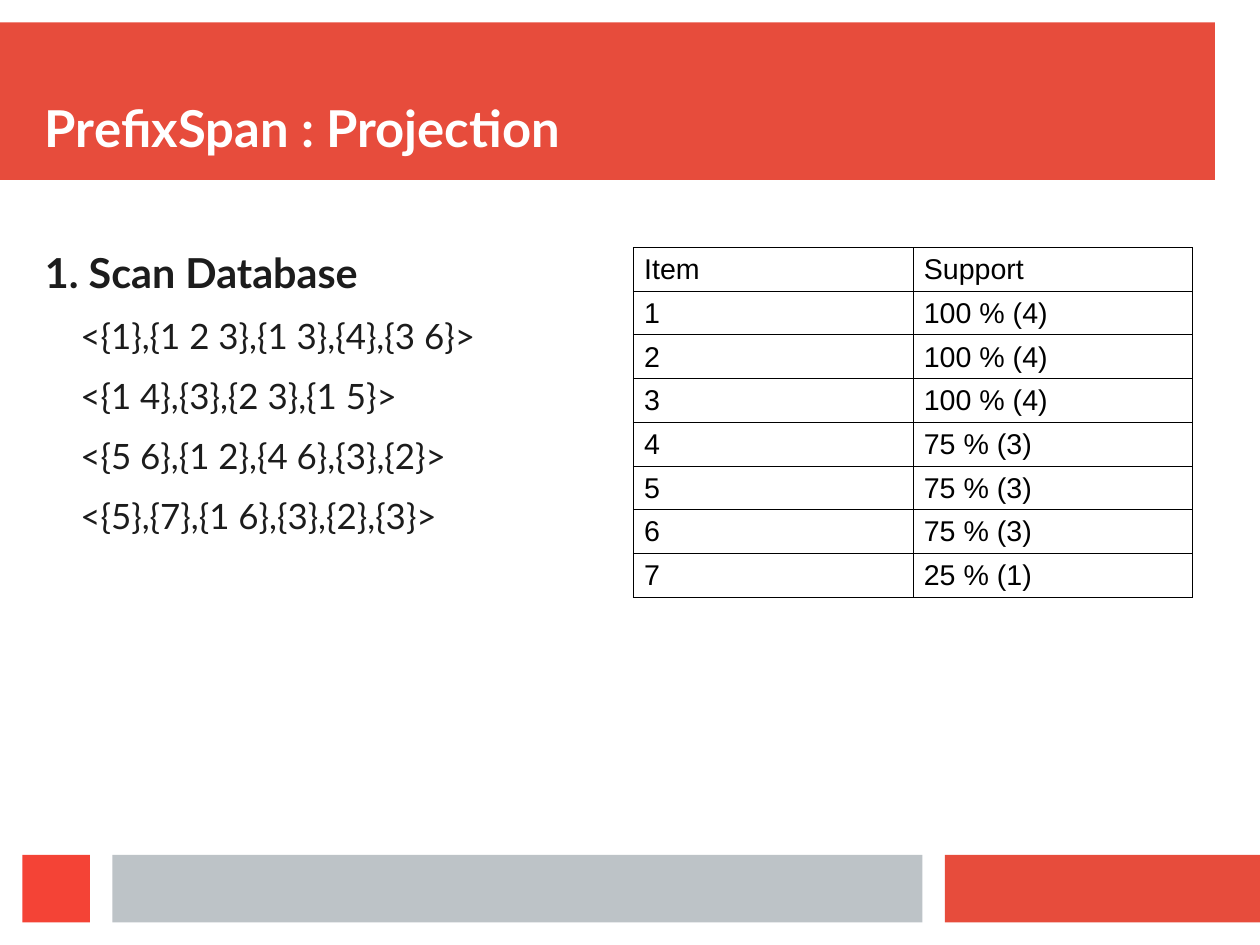
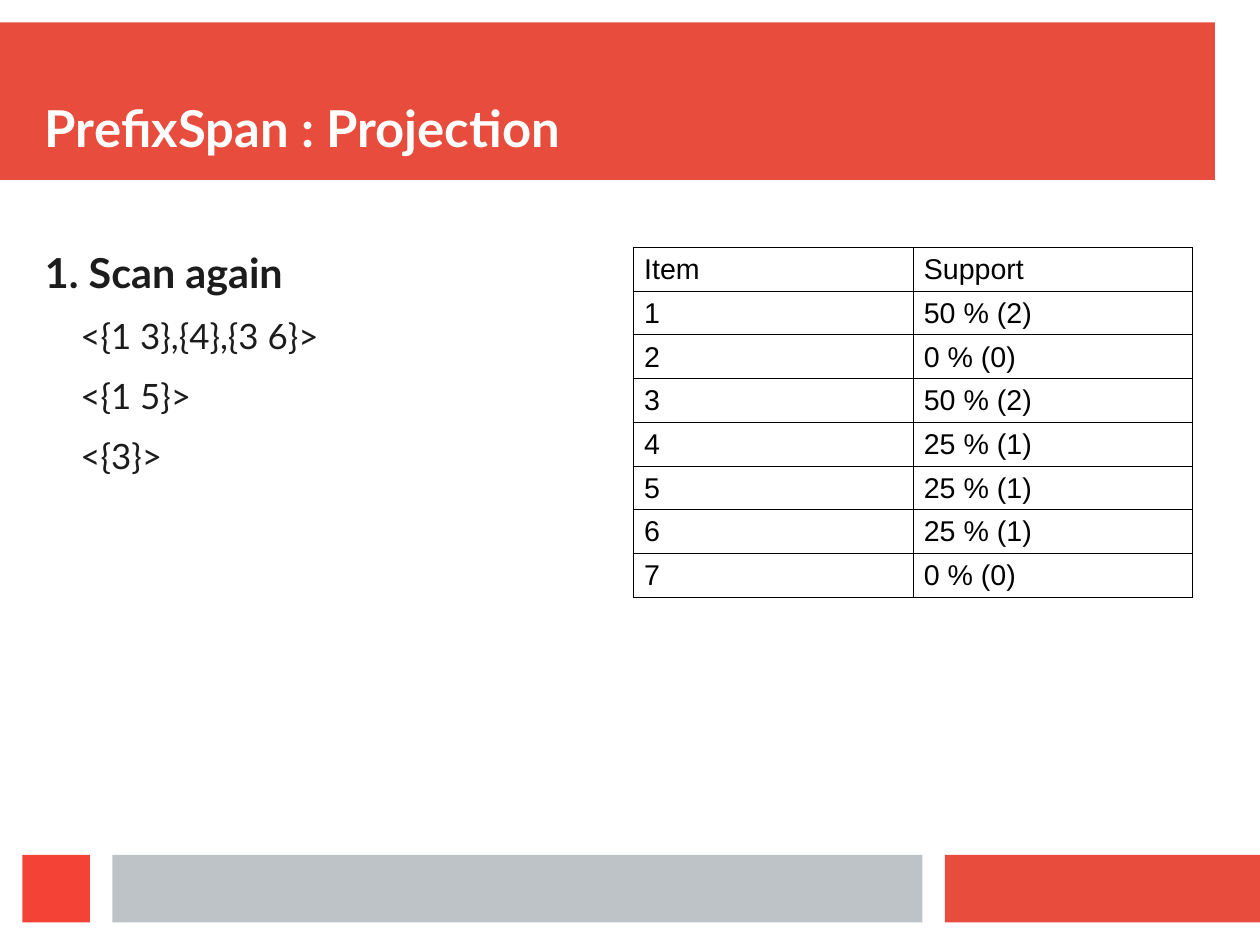
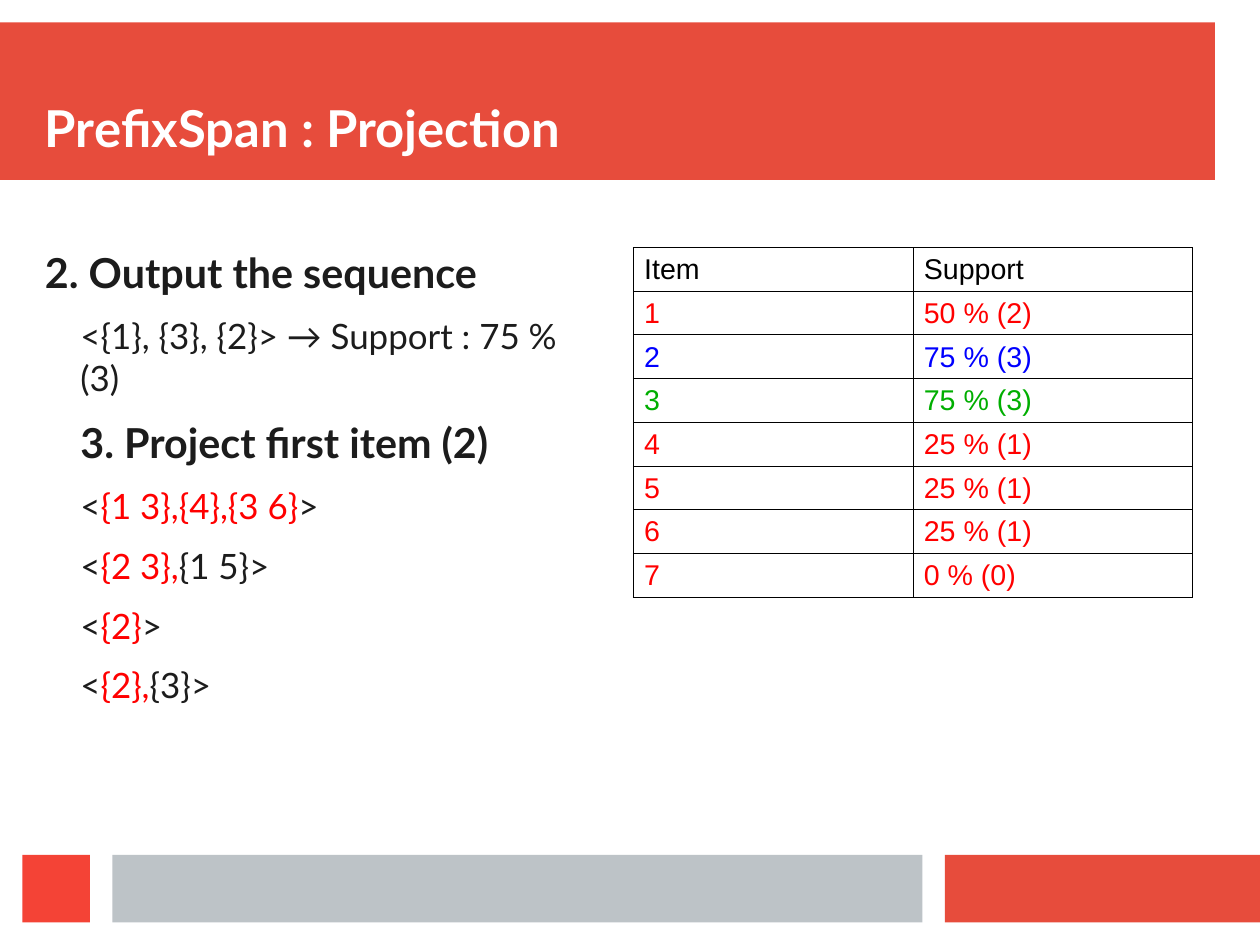
"""Build three slides that walk through the PrefixSpan projection steps."""
from dataclasses import dataclass

import lxml.etree
import pptx
import pptx.dml.color
import pptx.enum.shapes
import pptx.enum.text
import pptx.oxml.ns
import pptx.util

RGB = pptx.dml.color.RGBColor
BRICK = RGB(0xE7, 0x4C, 0x3C)
TOMATO = RGB(0xF4, 0x43, 0x36)
SILVER = RGB(0xBD, 0xC3, 0xC7)
WHITE = RGB(0xFF, 0xFF, 0xFF)
INK = RGB(0x1C, 0x1C, 0x1C)
BLACK = RGB(0x00, 0x00, 0x00)
RED = RGB(0xFF, 0x00, 0x00)
BLUE = RGB(0x00, 0x00, 0xFF)
GREEN = RGB(0x00, 0xAE, 0x00)

CELL = pptx.util.Mm(5)
COLUMNS, ROWS = 56, 42
TEXT_FONT, TABLE_FONT = "Lato", "Arial"
TITLE = "PrefixSpan : Projection"


@dataclass(frozen=True)
class Area:
    column: float
    row: float
    columns: float
    rows: float

    def emu(self) -> tuple[int, ...]:
        return tuple(round(CELL * n) for n in (self.column, self.row, self.columns, self.rows))


@dataclass(frozen=True)
class Band:
    area: Area
    color: RGB


@dataclass(frozen=True)
class Span:
    text: str
    color: RGB = INK


@dataclass(frozen=True)
class Line:
    spans: tuple[Span, ...]
    heading: bool = False
    indented: bool = True


@dataclass(frozen=True)
class Support:
    percent: int
    count: int
    color: RGB = BLACK


@dataclass(frozen=True)
class Step:
    lines: tuple[Line, ...]
    supports: tuple[Support, ...]


BANDS = (
    Band(Area(0, 1, 54, 7), BRICK),
    Band(Area(42, 38, 14, 3), BRICK),
    Band(Area(5, 38, 36, 3), SILVER),
    Band(Area(1, 38, 3, 3), TOMATO),
)
TITLE_AREA = Area(2, 2, 52, 5)
BODY_AREA = Area(2, 11, 24.5, 26)
TABLE_AREA = Area(28.15, 11, 24.86, 15.55)


def heading(text: str, indented: bool = False) -> Line:
    return Line((Span(text),), True, indented)


def sequence(text: str) -> Line:
    return Line((Span(text),))


def projected(removed: str, kept: str) -> Line:
    return Line((Span("<"), Span(removed, RED), Span(kept)))


STEPS = (
    Step(
        (
            heading("1. Scan Database"),
            sequence("<{1},{1 2 3},{1 3},{4},{3 6}>"),
            sequence("<{1 4},{3},{2 3},{1 5}>"),
            sequence("<{5 6},{1 2},{4 6},{3},{2}>"),
            sequence("<{5},{7},{1 6},{3},{2},{3}>"),
        ),
        (Support(100, 4),) * 3 + (Support(75, 3),) * 3 + (Support(25, 1),),
    ),
    Step(
        (
            heading("1. Scan again"),
            sequence("<{1 3},{4},{3 6}>"),
            sequence("<{1 5}>"),
            sequence("<{3}>"),
        ),
        (Support(50, 2), Support(0, 0), Support(50, 2))
        + (Support(25, 1),) * 3
        + (Support(0, 0),),
    ),
    Step(
        (
            heading("2. Output the sequence"),
            sequence("<{1}, {3}, {2}> → Support : 75 % (3)"),
            heading("3. Project first item (2)", indented=True),
            projected("{1 3},{4},{3 6}", ">"),
            projected("{2 3},", "{1 5}>"),
            projected("{2}", ">"),
            projected("{2},", "{3}>"),
        ),
        (Support(50, 2, RED), Support(75, 3, BLUE), Support(75, 3, GREEN))
        + (Support(25, 1, RED),) * 3
        + (Support(0, 0, RED),),
    ),
)


def add_run(paragraph, text: str, font: str, size: int, color: RGB, bold: bool = False) -> None:
    run = paragraph.add_run()
    run.text = text
    run.font.name = font
    run.font.size = pptx.util.Pt(size)
    run.font.bold = bold
    run.font.color.rgb = color


def add_frame(slide, area: Area, anchor):
    frame = slide.shapes.add_textbox(*area.emu()).text_frame
    frame.word_wrap = True
    frame.vertical_anchor = anchor
    frame.margin_left = frame.margin_right = frame.margin_top = frame.margin_bottom = 0
    return frame


def draw_band(slide, band: Band) -> None:
    bar = slide.shapes.add_shape(pptx.enum.shapes.MSO_SHAPE.RECTANGLE, *band.area.emu())
    bar.shadow.inherit = False
    bar.fill.solid()
    bar.fill.fore_color.rgb = band.color
    bar.line.fill.background()


def draw_title(slide) -> None:
    frame = add_frame(slide, TITLE_AREA, pptx.enum.text.MSO_ANCHOR.BOTTOM)
    add_run(frame.paragraphs[0], TITLE, TEXT_FONT, 32, WHITE, bold=True)


def draw_lines(slide, lines: tuple[Line, ...]) -> None:
    frame = add_frame(slide, BODY_AREA, pptx.enum.text.MSO_ANCHOR.TOP)
    for index, line in enumerate(lines):
        paragraph = frame.add_paragraph() if index else frame.paragraphs[0]
        if line.indented:
            paragraph._p.get_or_add_pPr().set("marL", str(pptx.util.Inches(0.31)))
        paragraph.space_after = pptx.util.Pt(11.4 if line.heading else 11.3)
        for span in line.spans:
            size = 26 if line.heading else 22
            add_run(paragraph, span.text, TEXT_FONT, size, span.color, line.heading)


def add_borders(cell) -> None:
    properties = cell._tc.get_or_add_tcPr()
    for index, side in enumerate(("lnL", "lnR", "lnT", "lnB")):
        edge = lxml.etree.Element(pptx.oxml.ns.qn(f"a:{side}"), w=str(pptx.util.Pt(0.57)))
        fill = lxml.etree.SubElement(edge, pptx.oxml.ns.qn("a:solidFill"))
        lxml.etree.SubElement(fill, pptx.oxml.ns.qn("a:srgbClr"), val=str(BLACK))
        properties.insert(index, edge)


def draw_supports(slide, supports: tuple[Support, ...]) -> None:
    entries = [("Item", "Support", BLACK)]
    for item, support in enumerate(supports, 1):
        entries.append((str(item), f"{support.percent} % ({support.count})", support.color))
    table = slide.shapes.add_table(len(entries), 2, *TABLE_AREA.emu()).table
    table.first_row = table.horz_banding = False
    for row, (item, share, color) in enumerate(entries):
        for column, text in enumerate((item, share)):
            cell = table.cell(row, column)
            cell.margin_left = pptx.util.Mm(2.4)
            cell.margin_top = pptx.util.Mm(1.4)
            cell.margin_bottom = pptx.util.Mm(0.5)
            cell.fill.background()
            add_borders(cell)
            add_run(cell.text_frame.paragraphs[0], text, TABLE_FONT, 18, color)


def main() -> None:
    deck = pptx.Presentation()
    deck.slide_width, deck.slide_height = CELL * COLUMNS, CELL * ROWS
    for step in STEPS:
        slide = deck.slides.add_slide(deck.slide_layouts[6])
        for band in BANDS:
            draw_band(slide, band)
        draw_title(slide)
        draw_lines(slide, step.lines)
        draw_supports(slide, step.supports)
    deck.save("out.pptx")


if __name__ == "__main__":
    main()
